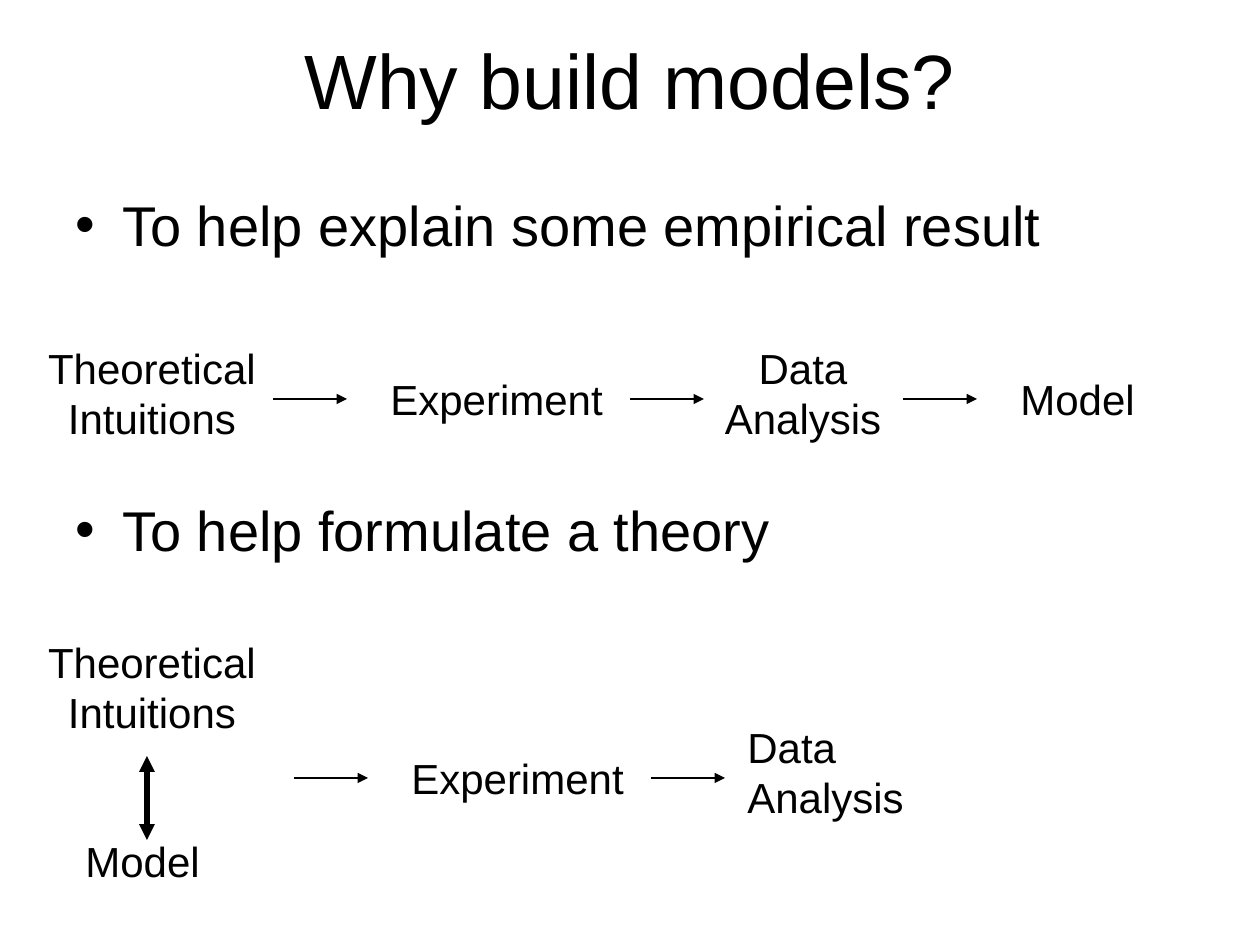
"""Builds a slide on why models are built, with two process flows."""
import pptx
import pptx.dml.color
import pptx.enum.shapes
import pptx.enum.text
import pptx.oxml.ns
import pptx.util
from lxml import etree

EMU_PER_PX = 914400 / 126
BLACK = pptx.dml.color.RGBColor(0, 0, 0)
WHITE = pptx.dml.color.RGBColor(255, 255, 255)
FONT = "Arial"
LEFT = pptx.enum.text.PP_ALIGN.LEFT
CENTER = pptx.enum.text.PP_ALIGN.CENTER
TOP = pptx.enum.text.MSO_ANCHOR.TOP
MIDDLE = pptx.enum.text.MSO_ANCHOR.MIDDLE
LABEL_WIDTH = 262
ARROW_LENGTH = 74


def px(length):
    """Turn pixels into EMU."""
    return pptx.util.Emu(round(length * EMU_PER_PX))


def add_child(parent, tag, **attributes):
    """Append a DrawingML element with the given attributes."""
    return etree.SubElement(parent, pptx.oxml.ns.qn(tag), attributes)


def add_text(slide, box, lines, size, align=LEFT, anchor=TOP):
    """Add a text box with one paragraph per line and return its frame."""
    frame = slide.shapes.add_textbox(*map(px, box)).text_frame
    frame.word_wrap = True
    frame.vertical_anchor = anchor
    for index, line in enumerate(lines):
        paragraph = frame.add_paragraph() if index else frame.paragraphs[0]
        paragraph.alignment = align
        run = paragraph.add_run()
        run.text = line
        run.font.name = FONT
        run.font.size = pptx.util.Pt(size)
        run.font.color.rgb = BLACK
    return frame


def add_reasons(slide, box, reasons, gap):
    """Add the bulleted reasons, set apart to leave room for the flows."""
    frame = add_text(slide, box, reasons, 32)
    for index, paragraph in enumerate(frame.paragraphs):
        if index:
            paragraph.space_before = pptx.util.Pt(gap)
        properties = paragraph._p.get_or_add_pPr()
        properties.set("marL", str(px(47)))
        properties.set("indent", str(-px(47)))
        add_child(properties, "a:buFont", typeface=FONT)
        add_child(properties, "a:buChar", char="•")


def add_step(slide, left, top, words, align=LEFT):
    """Add a step label with one word per line."""
    lines = words.split()
    height = 14 + 50 * len(lines)
    frame = add_text(slide, (left, top, LABEL_WIDTH, height), lines, 24, align)
    frame.auto_size = pptx.enum.text.MSO_AUTO_SIZE.SHAPE_TO_FIT_TEXT


def add_arrow(slide, start, end, width=0.75, two_way=False):
    """Add a straight arrow, with a head at both ends if two-way."""
    arrow = slide.shapes.add_connector(
        pptx.enum.shapes.MSO_CONNECTOR.STRAIGHT, *map(px, start + end))
    arrow.line.color.rgb = BLACK
    arrow.line.width = pptx.util.Pt(width)
    outline = arrow.line._get_or_add_ln()
    if two_way:
        add_child(outline, "a:headEnd", type="triangle")
    add_child(outline, "a:tailEnd", type="triangle")
    add_child(arrow._element.spPr, "a:effectLst")


def add_flow_arrows(slide, starts, y):
    """Add equal arrows pointing right along one row."""
    for x in starts:
        add_arrow(slide, (x, y), (x + ARROW_LENGTH, y))


def main():
    """Build and save the slide."""
    deck = pptx.Presentation()
    deck.slide_width, deck.slide_height = px(1260), px(945)
    slide = deck.slides.add_slide(deck.slide_layouts[6])
    slide.background.fill.solid()
    slide.background.fill.fore_color.rgb = WHITE

    add_text(slide, (63, 0, 1134, 158), ["Why build models?"], 44, CENTER, MIDDLE)
    add_reasons(slide, (63, 184, 1134, 441),
                ["To help explain some empirical result",
                 "To help formulate a theory"], 136)

    add_step(slide, 21, 336, "Theoretical Intuitions", CENTER)
    add_step(slide, 378, 367, "Experiment")
    add_step(slide, 672, 336, "Data Analysis", CENTER)
    add_step(slide, 1008, 367, "Model")
    add_flow_arrows(slide, (273, 630, 903), 399)

    add_step(slide, 21, 630, "Theoretical Intuitions", CENTER)
    add_step(slide, 73, 829, "Model")
    add_step(slide, 399, 746, "Experiment")
    add_step(slide, 735, 715, "Data Analysis")
    add_flow_arrows(slide, (294, 651), 778)
    add_arrow(slide, (147, 756), (147, 840), 3, two_way=True)

    deck.save("out.pptx")


if __name__ == "__main__":
    main()
